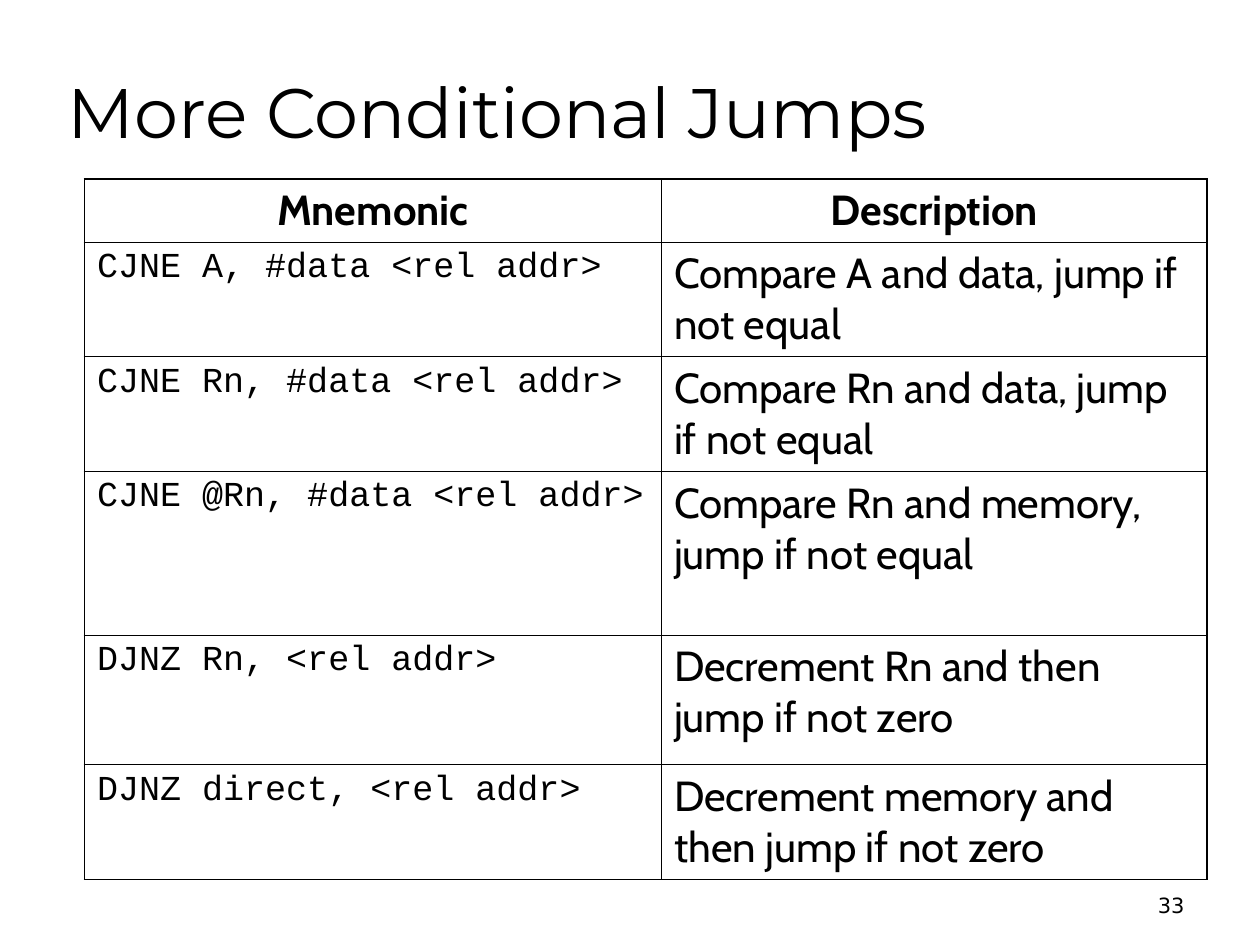
"""Build a slide that lists conditional jump instructions in a table."""
import dataclasses
import typing

import lxml.etree
import pptx
import pptx.dml.color
import pptx.enum.text
import pptx.oxml.ns
import pptx.util

Inches = pptx.util.Inches
Pt = pptx.util.Pt
Align = pptx.enum.text.PP_ALIGN
Anchor = pptx.enum.text.MSO_ANCHOR


@dataclasses.dataclass(frozen=True)
class Theme:
    ink: str = "000000"
    title_font: str = "Montserrat"
    body_font: str = "Cabin"
    code_font: str = "Courier New"
    number_font: str = "DejaVu Sans"
    title_size: float = 40
    body_size: float = 24
    code_size: float = 20
    number_size: float = 12
    outer_border: float = 1.08
    inner_border: float = 0.45


class Jump(typing.NamedTuple):
    mnemonic: str
    description: str
    height: float


THEME = Theme()
HEADER = Jump("Mnemonic", "Description", 0.5)
JUMPS = [
    Jump("CJNE A, #data <rel addr>", "Compare A and data, jump if not equal", 0.91),
    Jump("CJNE Rn, #data <rel addr>", "Compare Rn and data, jump if not equal", 0.91),
    Jump("CJNE @Rn, #data <rel addr>", "Compare Rn and memory, jump if not equal", 1.3),
    Jump("DJNZ Rn, <rel addr>", "Decrement Rn and then jump if not zero", 1.03),
    Jump("DJNZ direct, <rel addr>", "Decrement memory and then jump if not zero", 0.91),
]
COLUMN_WIDTHS = (4.58, 4.33)


def write(frame, text: str, *, font: str, size: float, bold: bool = False,
          align=Align.LEFT, space_before: float = 0) -> None:
    frame.word_wrap = True
    paragraph = frame.paragraphs[0]
    paragraph.alignment = align
    paragraph.space_before = Pt(space_before)
    run = paragraph.add_run()
    run.text = text
    run.font.name = font
    run.font.size = Pt(size)
    run.font.bold = bold
    run.font.color.rgb = pptx.dml.color.RGBColor.from_string(THEME.ink)


def add_label(slide, box: tuple[float, float, float, float], text: str,
              anchor, **text_format) -> None:
    frame = slide.shapes.add_textbox(*map(Inches, box)).text_frame
    frame.vertical_anchor = anchor
    write(frame, text, **text_format)


def add_borders(cell, outer_sides: dict[str, bool]) -> None:
    properties = cell._tc.get_or_add_tcPr()
    for side, is_outer in outer_sides.items():
        width = THEME.outer_border if is_outer else THEME.inner_border
        border = lxml.etree.SubElement(
            properties, pptx.oxml.ns.qn(f"a:ln{side}"), w=str(Pt(width)))
        fill = lxml.etree.SubElement(border, pptx.oxml.ns.qn("a:solidFill"))
        lxml.etree.SubElement(fill, pptx.oxml.ns.qn("a:srgbClr"), val=THEME.ink)


def add_jump_table(slide, left: float, top: float) -> None:
    entries = [HEADER, *JUMPS]
    height = sum(entry.height for entry in entries)
    table = slide.shapes.add_table(
        len(entries), len(COLUMN_WIDTHS), Inches(left), Inches(top),
        Inches(sum(COLUMN_WIDTHS)), Inches(height)).table
    table.first_row = False
    table.horz_banding = False
    for column, width in zip(table.columns, COLUMN_WIDTHS):
        column.width = Inches(width)

    heading = dict(font=THEME.body_font, size=THEME.body_size, bold=True,
                   align=Align.CENTER, space_before=6)
    code = dict(font=THEME.code_font, size=THEME.code_size, space_before=5)
    body = dict(font=THEME.body_font, size=THEME.body_size, space_before=6)
    last_row, last_column = len(entries) - 1, len(COLUMN_WIDTHS) - 1
    for row, entry in enumerate(entries):
        table.rows[row].height = Inches(entry.height)
        formats = (heading, heading) if entry is HEADER else (code, body)
        texts = (entry.mnemonic, entry.description)
        for column, (text, text_format) in enumerate(zip(texts, formats)):
            cell = table.cell(row, column)
            add_borders(cell, {"L": column == 0, "R": column == last_column,
                               "T": row == 0, "B": row == last_row})
            cell.fill.background()
            write(cell.text_frame, text, **text_format)


def main() -> None:
    presentation = pptx.Presentation()
    presentation.slide_width = Inches(10)
    presentation.slide_height = Inches(7.5)
    slide = presentation.slides.add_slide(presentation.slide_layouts[6])
    add_label(slide, (0.44, 0.25, 8.5, 1.25), "More Conditional Jumps",
              Anchor.MIDDLE, font=THEME.title_font, size=THEME.title_size)
    add_jump_table(slide, 0.67, 1.42)
    add_label(slide, (7.17, 6.83, 2.33, 0.5), "33", Anchor.BOTTOM,
              font=THEME.number_font, size=THEME.number_size, align=Align.RIGHT)
    presentation.save("out.pptx")


if __name__ == "__main__":
    main()
